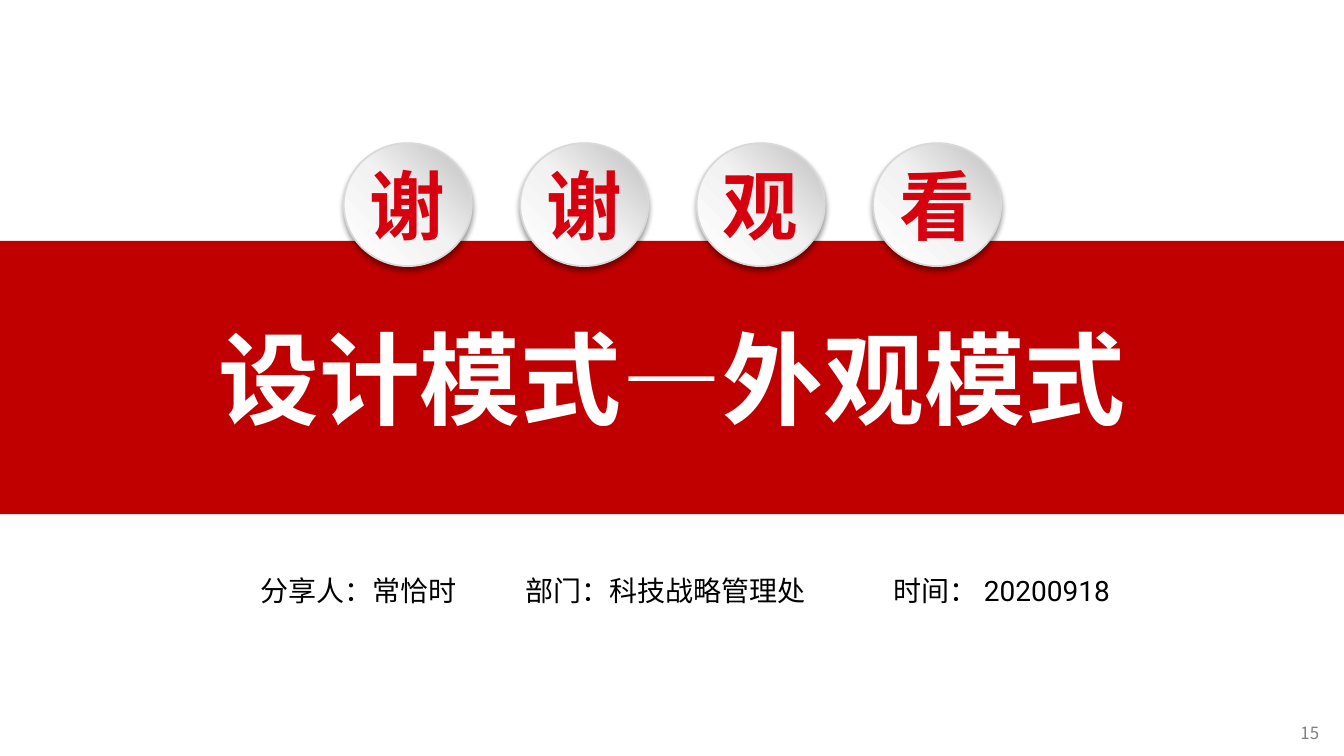
from dataclasses import dataclass

from lxml.etree import SubElement
from pptx import Presentation
from pptx.dml.color import RGBColor
from pptx.enum.shapes import MSO_SHAPE as Preset
from pptx.enum.text import MSO_ANCHOR as Anchor, MSO_AUTO_SIZE as AutoSize, PP_ALIGN as Align
from pptx.oxml import parse_xml
from pptx.oxml.ns import nsdecls, qn
from pptx.shapes.autoshape import Shape
from pptx.slide import Slide
from pptx.text.text import Font
from pptx.util import Inches, Pt


@dataclass(frozen=True)
class Theme:
    cjk: str = "Noto Sans CJK SC"
    latin: str = "Roboto"
    band: str = "C00000"
    badge_text: str = "D7000F"
    badge_line: str = "D9D9D9"
    badge_stops: tuple[tuple[int, str], ...] = ((0, "FFFFFF"), (50, "F2F2F2"), (100, "BFBFBF"))
    white: str = "FFFFFF"
    black: str = "000000"
    gray: str = "808080"
    title_size: int = 72
    badge_size: int = 54
    info_size: int = 20
    number_size: int = 12


@dataclass(frozen=True)
class Area:
    left: float
    top: float
    width: float
    height: float


@dataclass(frozen=True)
class Badge:
    character: str
    area: Area


THEME = Theme()
BADGE_PITCH = 1.75
BADGES = [
    Badge(character, Area(3.41 + BADGE_PITCH * index, 1.42, 1.27, 1.22))
    for index, character in enumerate("谢谢观看")
]
BAND = Area(0, 2.39, 13.33, 2.71)
INFO = Area(1.94, 5.47, 9.7, 0.55)
INFO_INDENT = 0.64
INFO_TABS = (2.63, 6.28)
INFO_LABELS = ("分享人：常恰时", "部门：科技战略管理处", "时间： ")
INFO_DATE = "20200918"
NUMBER = Area(12.8, 7.12, 0.51, 0.29)


def place(shape: Shape, area: Area) -> None:
    shape.left, shape.top = Inches(area.left), Inches(area.top)
    shape.width, shape.height = Inches(area.width), Inches(area.height)


def style_text(shape: Shape, size: int, color: str, align: Align, bold: bool = False) -> None:
    para = shape.text_frame.paragraphs[0]
    para.alignment = align
    font: Font = para.font
    font.name, font.size, font.bold = THEME.cjk, Pt(size), bold
    font.color.rgb = RGBColor.from_string(color)
    defaults = para._p.pPr.find(qn("a:defRPr"))
    SubElement(defaults, qn("a:ea"), typeface=THEME.cjk)


def add_title(slide: Slide) -> None:
    title = slide.shapes.title
    place(title, BAND)
    title.fill.solid()
    title.fill.fore_color.rgb = RGBColor.from_string(THEME.band)
    frame = title.text_frame
    frame.text = "设计模式—外观模式"
    frame.auto_size = AutoSize.NONE
    frame.vertical_anchor = Anchor.MIDDLE
    style_text(title, THEME.title_size, THEME.white, Align.CENTER, bold=True)


def add_gradient(shape: Shape) -> None:
    stops = "".join(
        f'<a:gs pos="{position * 1000}"><a:srgbClr val="{color}"/></a:gs>'
        for position, color in THEME.badge_stops
    )
    gradient = parse_xml(
        f'<a:gradFill {nsdecls("a")} rotWithShape="1"><a:gsLst>{stops}</a:gsLst>'
        '<a:lin ang="18900000" scaled="0"/></a:gradFill>'
    )
    shape._element.spPr.find(qn("a:prstGeom")).addnext(gradient)


def add_shadow(shape: Shape) -> None:
    shape.shadow.inherit = False
    effects = shape._element.spPr.find(qn("a:effectLst"))
    effects.append(parse_xml(
        f'<a:outerShdw {nsdecls("a")} blurRad="{Pt(4)}" dist="{Pt(3)}" dir="5400000" '
        f'algn="t" rotWithShape="0"><a:srgbClr val="{THEME.black}">'
        '<a:alpha val="40000"/></a:srgbClr></a:outerShdw>'
    ))


def add_badge(slide: Slide, badge: Badge) -> None:
    circle = slide.shapes.add_shape(Preset.OVAL, 0, 0, 0, 0)
    place(circle, badge.area)
    add_gradient(circle)
    circle.line.color.rgb = RGBColor.from_string(THEME.badge_line)
    circle.line.width = Pt(1.25)
    add_shadow(circle)
    frame = circle.text_frame
    frame.text = badge.character
    frame.word_wrap = False
    frame.vertical_anchor = Anchor.MIDDLE
    style_text(circle, THEME.badge_size, THEME.badge_text, Align.CENTER, bold=True)


def add_text(slide: Slide, area: Area, text: str, size: int, color: str) -> Shape:
    box = slide.shapes.add_textbox(0, 0, 0, 0)
    place(box, area)
    box.text_frame.word_wrap = True
    box.text_frame.text = text
    style_text(box, size, color, Align.LEFT)
    return box


def add_info(slide: Slide) -> None:
    box = add_text(slide, INFO, "\t".join(INFO_LABELS), THEME.info_size, THEME.black)
    box.text_frame.margin_left = Inches(INFO_INDENT)
    para = box.text_frame.paragraphs[0]
    para.line_spacing = 1.5
    date = para.add_run()
    date.text = INFO_DATE
    date.font.name = THEME.latin
    tabs = parse_xml(f'<a:tabLst {nsdecls("a")}/>')
    for position in INFO_TABS:
        SubElement(tabs, qn("a:tab"), pos=str(Inches(position)), algn="l")
    para._p.pPr.find(qn("a:defRPr")).addprevious(tabs)


def main() -> None:
    deck = Presentation()
    deck.slide_width, deck.slide_height = Inches(13.33), Inches(7.5)
    slide = deck.slides.add_slide(deck.slide_layouts[5])
    add_text(slide, NUMBER, "15", THEME.number_size, THEME.gray)
    add_title(slide)
    for badge in BADGES:
        add_badge(slide, badge)
    add_info(slide)
    deck.save("out.pptx")


if __name__ == "__main__":
    main()
